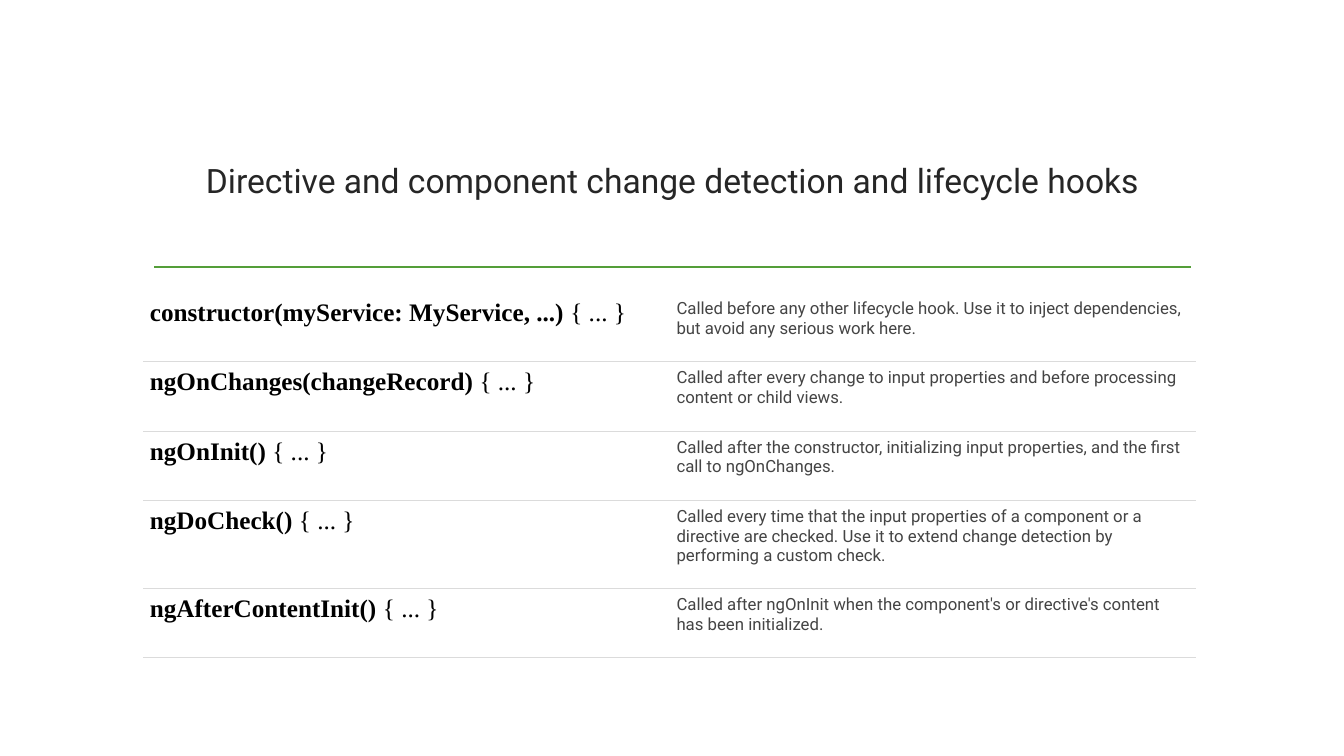
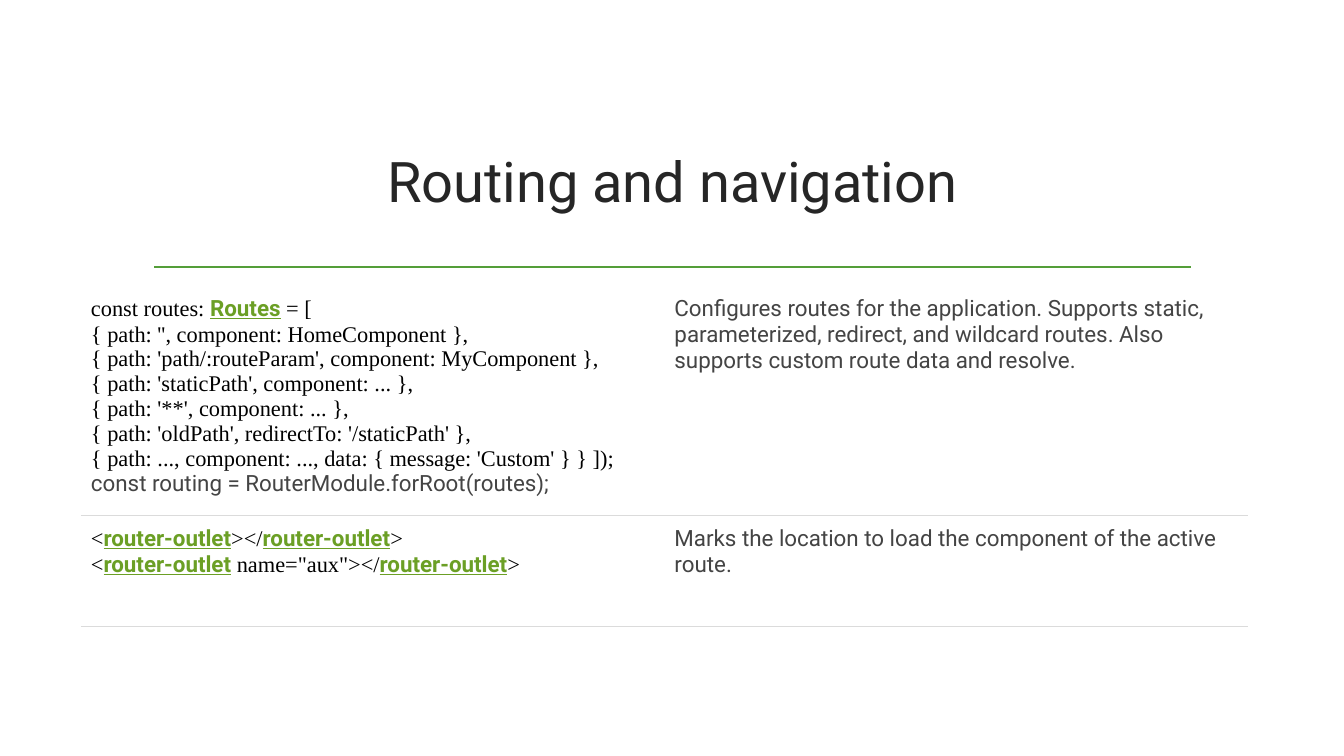
from collections import namedtuple

from lxml import etree
from pptx import Presentation
from pptx.dml.color import RGBColor
from pptx.enum.shapes import MSO_CONNECTOR
from pptx.enum.text import MSO_ANCHOR, MSO_AUTO_SIZE, PP_ALIGN
from pptx.oxml.ns import qn
from pptx.util import Pt

STRAIGHT = MSO_CONNECTOR.STRAIGHT
MIDDLE = MSO_ANCHOR.MIDDLE
CENTER = PP_ALIGN.CENTER
NO_AUTOFIT = MSO_AUTO_SIZE.NONE

WHITE = RGBColor(0xFF, 0xFF, 0xFF)
BLACK = RGBColor(0x00, 0x00, 0x00)
TITLE_GRAY = RGBColor(0x26, 0x26, 0x26)
TEXT_GRAY = RGBColor(0x44, 0x44, 0x44)
BORDER_GRAY = RGBColor(0xDB, 0xDB, 0xDB)
RULE_GREEN = RGBColor(0x54, 0x9E, 0x39)
LINK_GREEN = RGBColor(0x6B, 0x9F, 0x25)

SANS = "Roboto"
SERIF = "Times New Roman"
TITLE_ONLY = 5
BORDER_WIDTH = 0.5

Style = namedtuple("Style", "font color bold underline")
TITLE = Style(SANS, TITLE_GRAY, False, False)
BODY = Style(SANS, TEXT_GRAY, False, False)
CODE = Style(SERIF, BLACK, False, False)
SIGNATURE = Style(SERIF, BLACK, True, False)
LINK = Style(SANS, LINK_GREEN, True, True)

Text = namedtuple("Text", "size paragraphs")

HOOKS = [
    ("constructor(myService: MyService, ...)",
     "Called before any other lifecycle hook. Use it to inject dependencies, "
     "but avoid any serious work here."),
    ("ngOnChanges(changeRecord)",
     "Called after every change to input properties and before processing "
     "content or child views."),
    ("ngOnInit()",
     "Called after the constructor, initializing input properties, and the "
     "first call to ngOnChanges."),
    ("ngDoCheck()",
     "Called every time that the input properties of a component or a directive "
     "are checked. Use it to extend change detection by performing a custom check."),
    ("ngAfterContentInit()",
     "Called after ngOnInit when the component's or directive's content "
     "has been initialized."),
]

ROUTE_LINES = [
    "{ path: '', component: HomeComponent },",
    "{ path: 'path/:routeParam', component: MyComponent },",
    "{ path: 'staticPath', component: ... },",
    "{ path: '**', component: ... },",
    "{ path: 'oldPath', redirectTo: '/staticPath' },",
    "{ path: ..., component: ..., data: { message: 'Custom' } } ]);",
]


def add_run(paragraph, text, style, size):
    """Append one styled run to a paragraph."""
    run = paragraph.add_run()
    run.text = text
    font = run.font
    font.name = style.font
    font.size = Pt(size)
    font.color.rgb = style.color
    font.bold = style.bold
    font.underline = style.underline


def fill_text(frame, text):
    """Write paragraphs, each a list of (text, style) runs."""
    for index, runs in enumerate(text.paragraphs):
        paragraph = frame.add_paragraph() if index else frame.paragraphs[0]
        for words, style in runs:
            add_run(paragraph, words, style, text.size)


def add_border(cell, side, visible):
    """Add one cell border, drawn in gray or left empty."""
    properties = cell._tc.get_or_add_tcPr()
    line = etree.SubElement(properties, qn(f"a:ln{side}"))
    if visible:
        line.set("w", str(Pt(BORDER_WIDTH)))
        fill = etree.SubElement(line, qn("a:solidFill"))
        etree.SubElement(fill, qn("a:srgbClr"), val=str(BORDER_GRAY))
    else:
        line.set("w", "0")
        etree.SubElement(line, qn("a:noFill"))


def format_cell(cell, margin, is_first_row):
    """Give a cell its margins, row borders and white fill."""
    cell.margin_left = cell.margin_right = Pt(margin)
    cell.margin_top = cell.margin_bottom = Pt(margin)
    for side, visible in (("L", False), ("R", False),
                          ("T", not is_first_row), ("B", True)):
        add_border(cell, side, visible)
    cell.fill.solid()
    cell.fill.fore_color.rgb = WHITE


def add_text_table(slide, left, top, column_width, row_heights, margin, rows):
    """Add a two-column table with lines under its rows."""
    table = slide.shapes.add_table(
        len(rows), 2, Pt(left), Pt(top),
        Pt(2 * column_width), Pt(sum(row_heights))).table
    table.first_row = False
    table.horz_banding = False
    for column in table.columns:
        column.width = Pt(column_width)
    for row_index, (height, texts) in enumerate(zip(row_heights, rows)):
        table.rows[row_index].height = Pt(height)
        for cell, text in zip(table.rows[row_index].cells, texts):
            format_cell(cell, margin, row_index == 0)
            fill_text(cell.text_frame, text)


def add_titled_slide(presentation, title_text, size):
    """Add a slide with a centred title above a green rule."""
    slide = presentation.slides.add_slide(presentation.slide_layouts[TITLE_ONLY])
    title = slide.shapes.title
    title.left, title.top = Pt(102.24), Pt(77)
    title.width, title.height = Pt(756), Pt(103)
    frame = title.text_frame
    frame.auto_size = NO_AUTOFIT
    frame.word_wrap = True
    frame.vertical_anchor = MIDDLE
    frame.paragraphs[0].alignment = CENTER
    fill_text(frame, Text(size, [[(title_text, TITLE)]]))

    rule = slide.shapes.add_connector(
        STRAIGHT, Pt(110.2), Pt(190.8), Pt(850.4), Pt(190.8))
    rule.line.color.rgb = RULE_GREEN
    rule.line.width = Pt(1.25)
    etree.SubElement(rule._element.spPr, qn("a:effectLst"))
    return slide


def build_hooks_slide(presentation):
    """Build the table of lifecycle hooks."""
    slide = add_titled_slide(
        presentation,
        "Directive and component change detection and lifecycle hooks", 24)
    rows = [(Text(18, [[(signature, SIGNATURE), (" { ... }", CODE)]]),
             Text(12, [[(description, BODY)]]))
            for signature, description in HOOKS]
    add_text_table(slide, 102.24, 208.6, 376.2,
                   [49.6, 49.6, 49.6, 62.8, 49.6], 4.8, rows)


def build_routing_slide(presentation):
    """Build the table of routing code."""
    slide = add_titled_slide(presentation, "Routing and navigation", 40)
    outlet = ("router-outlet", LINK)
    routes = Text(16, [
        [("const routes: ", CODE), ("Routes", LINK), (" = [", CODE)],
        *[[(line, CODE)] for line in ROUTE_LINES],
        [("const routing = RouterModule.forRoot(routes);", BODY)],
    ])
    outlets = Text(16, [
        [("<", CODE), outlet, (middle, CODE), outlet, (">", CODE)]
        for middle in ("></", ' name="aux"></')
    ])
    routes_note = Text(16, [[(
        "Configures routes for the application. Supports static, parameterized, "
        "redirect, and wildcard routes. Also supports custom route data and "
        "resolve.", BODY)]])
    outlets_note = Text(16, [[(
        "Marks the location to load the component of the active route.", BODY)]])
    add_text_table(slide, 57.8, 204.2, 416.8, [164, 79.2], 7.2,
                   [(routes, routes_note), (outlets, outlets_note)])


def main():
    """Build and save the presentation."""
    presentation = Presentation()
    presentation.slide_width = Pt(960)
    presentation.slide_height = Pt(540)
    build_hooks_slide(presentation)
    build_routing_slide(presentation)
    presentation.save("out.pptx")


if __name__ == "__main__":
    main()
